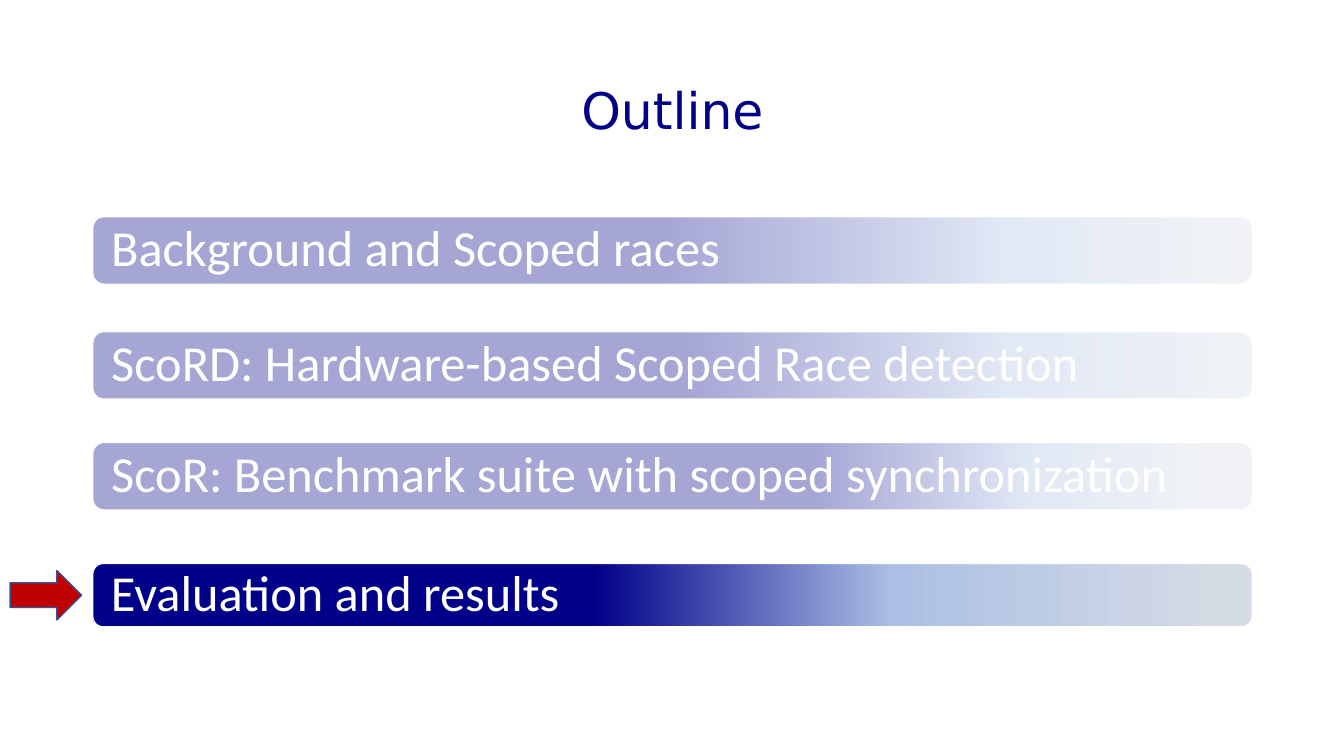
from lxml.etree import SubElement
from pptx import Presentation
from pptx.dml.color import RGBColor
from pptx.enum.shapes import MSO_SHAPE
from pptx.enum.text import MSO_ANCHOR, PP_ALIGN
from pptx.oxml.ns import qn
from pptx.util import Inches, Pt

COLORS = {
    "navy": "000088",
    "sky": "ABC0E4",
    "mist": "D6DCE5",
    "white": "FFFFFF",
    "red": "C00000",
    "arrow edge": "325491",
}


def color(name):
    return RGBColor.from_string(COLORS[name])


def write_line(shape, text, font_name, color_name):
    shape.text_frame.word_wrap = True
    shape.text_frame.vertical_anchor = MSO_ANCHOR.MIDDLE
    para = shape.text_frame.paragraphs[0]
    para.text = text
    para.line_spacing = 0.9
    para.font.name = font_name
    para.font.size = Pt(36)
    para.font.color.rgb = color(color_name)
    return para


deck = Presentation()
deck.slide_width = Inches(13.33)
deck.slide_height = Inches(7.5)
page = deck.slides.add_slide(deck.slide_layouts[6])

# Title
title = page.shapes.add_textbox(Inches(0.92), Inches(0.4), Inches(11.5), Inches(1.45))
write_line(title, "Outline", "DejaVu Sans", "navy").alignment = PP_ALIGN.CENTER

# Outline bars: text, top, height, gradient stops in percent
bars = [
    ("Background and Scoped races", 2.15, 0.67, (2, 21, 51, 100)),
    ("ScoRD: Hardware-based Scoped Race detection", 3.29, 0.67, (0, 21, 49, 100)),
    ("ScoR: Benchmark suite with scoped synchronization", 4.39, 0.67, (4, 19, 38, 100)),
    ("Evaluation and results", 5.59, 0.63, (2, 31, 57, 100)),
]
for text, top, height, stops in bars:
    bar = page.shapes.add_shape(MSO_SHAPE.ROUNDED_RECTANGLE, Inches(0.92), Inches(top),
                                Inches(11.5), Inches(height))
    bar.shadow.inherit = False
    bar.line.color.rgb = color("white")
    bar.line.width = Pt(1)
    bar.fill.gradient()
    bar.fill.gradient_angle = 180
    stop_list = bar.fill._xPr.find(qn("a:gradFill")).find(qn("a:gsLst"))
    for old_stop in list(stop_list):
        stop_list.remove(old_stop)
    for percent, name in zip(stops, ("mist", "sky", "navy", "navy")):
        stop = SubElement(stop_list, qn("a:gs"), pos=str(percent * 1000))
        SubElement(stop, qn("a:srgbClr"), val=COLORS[name])
    frame = bar.text_frame
    frame.margin_left = frame.margin_right = Inches(0.15)
    frame.margin_top = frame.margin_bottom = 0
    write_line(bar, text, "Calibri", "white").alignment = PP_ALIGN.LEFT

# Arrow at the current section
arrow = page.shapes.add_shape(MSO_SHAPE.RIGHT_ARROW, Inches(0.1), Inches(5.66),
                              Inches(0.71), Inches(0.49))
arrow.shadow.inherit = False
arrow.fill.solid()
arrow.fill.fore_color.rgb = color("red")
arrow.line.color.rgb = color("arrow edge")
arrow.line.width = Pt(1)

# Translucent veil over the other sections
veil = page.shapes.add_shape(MSO_SHAPE.RECTANGLE, Inches(0.66), Inches(1.93),
                             Inches(12.03), Inches(3.27))
veil.shadow.inherit = False
veil.fill.solid()
veil.fill.fore_color.rgb = color("white")
veil_color = veil.fill._xPr.find(qn("a:solidFill")).find(qn("a:srgbClr"))
SubElement(veil_color, qn("a:alpha"), val="65000")
veil.line.fill.background()

deck.save("out.pptx")
